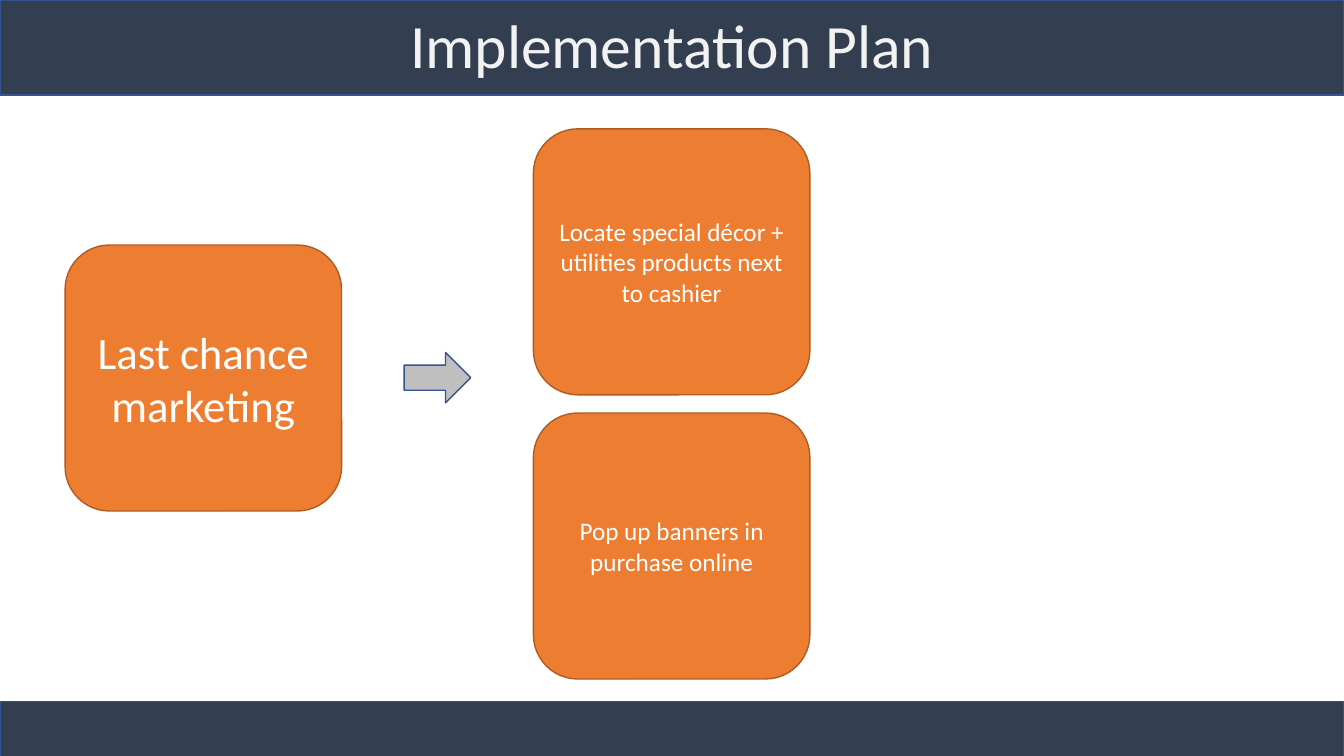
"""Build the implementation plan slide for last chance marketing."""
from dataclasses import dataclass

import pptx
import pptx.dml.color
import pptx.enum.shapes
import pptx.enum.text
import pptx.shapes.autoshape
import pptx.slide
import pptx.util

Pt = pptx.util.Pt
RGBColor = pptx.dml.color.RGBColor
Kind = pptx.enum.shapes.MSO_SHAPE

NAVY = RGBColor(0x33, 0x3F, 0x50)
BLUE = RGBColor(0x32, 0x54, 0x91)
ORANGE = RGBColor(0xED, 0x7D, 0x31)
BROWN = RGBColor(0xAF, 0x5C, 0x24)
GREY = RGBColor(0xBF, 0xBF, 0xBF)
OFF_WHITE = RGBColor(0xF2, 0xF2, 0xF2)
WHITE = RGBColor(0xFF, 0xFF, 0xFF)

SLIDE_WIDTH = 960
SLIDE_HEIGHT = 540
CARD_WIDTH = 197.5
CARD_HEIGHT = 190
ACTION_LEFT = 381
ACTION_TOP = 92
ACTION_PITCH = 203


@dataclass(frozen=True)
class Block:
    """A filled and outlined shape, with lengths in points."""

    kind: Kind
    left: float
    top: float
    width: float
    height: float
    fill: RGBColor
    line: RGBColor
    rotation: float = 0
    text: str = ""
    size: float = 18


def card(left: float, top: float, text: str, size: float) -> Block:
    """Describe one orange card."""
    return Block(Kind.ROUNDED_RECTANGLE, left, top, CARD_WIDTH, CARD_HEIGHT,
                 ORANGE, BROWN, text=text, size=size)


ACTIONS = (
    "Locate special décor + utilities products next to cashier",
    "Pop up banners in purchase online",
)
BARS = (
    Block(Kind.RECTANGLE, 0, 501, SLIDE_WIDTH, 45.5, NAVY, BLUE),
    Block(Kind.RECTANGLE, 0, 0, SLIDE_WIDTH, 68, NAVY, BLUE),
)
PLAN = (
    card(46.5, 175, "Last chance marketing", 32),
    *(card(ACTION_LEFT, ACTION_TOP + row * ACTION_PITCH, action, 18)
      for row, action in enumerate(ACTIONS)),
    Block(Kind.DOWN_ARROW, 294.5, 246, 36, 47.5, GREY, BLUE, rotation=270),
)


def write_text(box: pptx.shapes.autoshape.Shape, text: str, size: float,
               color: RGBColor, spacing: float = 1) -> None:
    """Write one centred paragraph into a box."""
    frame = box.text_frame
    frame.text = text
    frame.word_wrap = True
    frame.vertical_anchor = pptx.enum.text.MSO_ANCHOR.MIDDLE
    para = frame.paragraphs[0]
    para.alignment = pptx.enum.text.PP_ALIGN.CENTER
    para.line_spacing = spacing
    span = para.runs[0]
    span.font.name = "Calibri"
    span.font.size = Pt(size)
    span.font.color.rgb = color


def draw_block(page: pptx.slide.Slide, block: Block) -> None:
    """Draw one block on the page."""
    shape = page.shapes.add_shape(block.kind, Pt(block.left), Pt(block.top),
                                  Pt(block.width), Pt(block.height))
    shape.shadow.inherit = False
    shape.rotation = block.rotation
    shape.fill.solid()
    shape.fill.fore_color.rgb = block.fill
    shape.line.color.rgb = block.line
    shape.line.width = Pt(1)
    if block.text:
        write_text(shape, block.text, block.size, WHITE)


def main() -> None:
    """Create the deck and save it."""
    deck = pptx.Presentation()
    deck.slide_width = Pt(SLIDE_WIDTH)
    deck.slide_height = Pt(SLIDE_HEIGHT)
    page = deck.slides.add_slide(deck.slide_layouts[6])
    for bar in BARS:
        draw_block(page, bar)
    title = page.shapes.add_textbox(0, Pt(1.5), Pt(SLIDE_WIDTH), Pt(66))
    write_text(title, "Implementation Plan", 44, OFF_WHITE, spacing=0.9)
    for block in PLAN:
        draw_block(page, block)
    deck.save("out.pptx")


if __name__ == "__main__":
    main()
